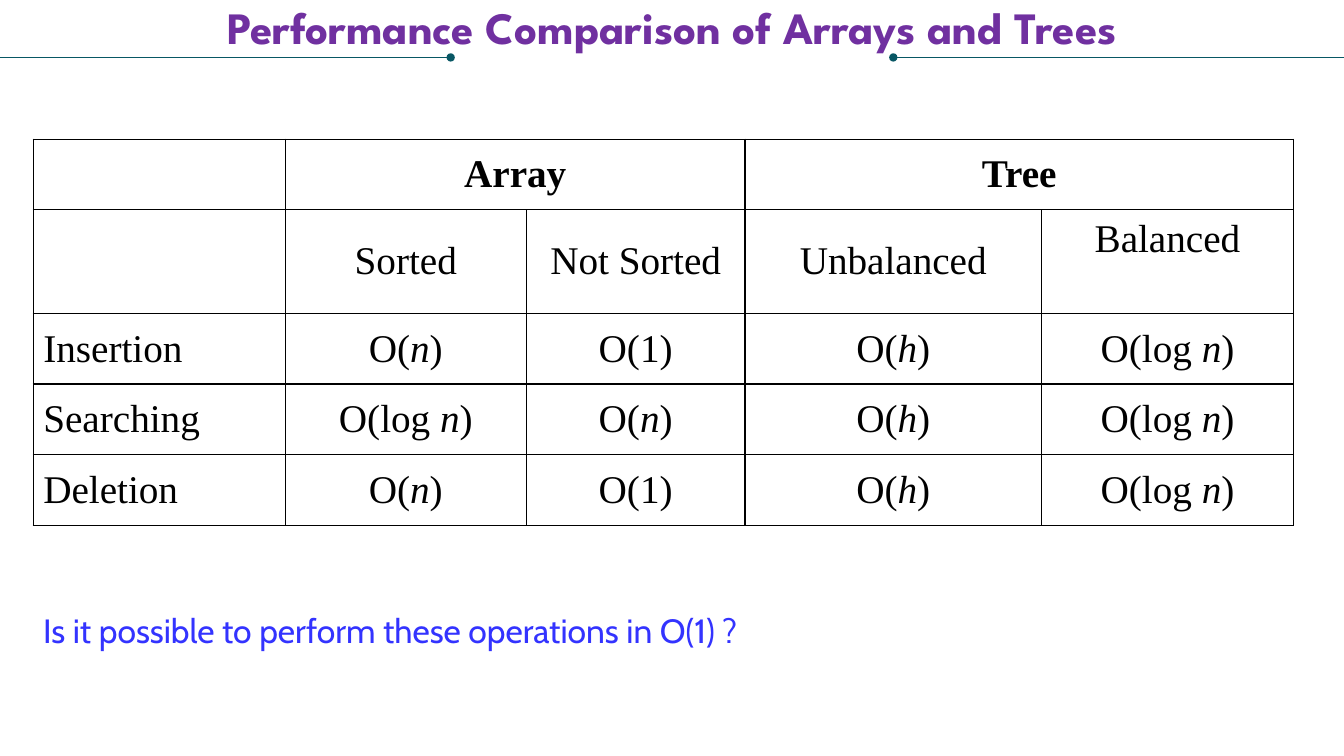
import pptx
import pptx.dml.color
import pptx.enum.shapes
import pptx.enum.text
import pptx.oxml
import pptx.oxml.ns
import pptx.util

Inches = pptx.util.Inches
Pt = pptx.util.Pt
RGB = pptx.dml.color.RGBColor.from_string
ALIGN = pptx.enum.text.PP_ALIGN
MIDDLE = pptx.enum.text.MSO_ANCHOR.MIDDLE
NS = pptx.oxml.ns.nsdecls("a")

THEME = {
    "title": ("League Spartan", 32, "7030A0"),
    "table": ("Times New Roman", 28, "000000"),
    "question": ("Cabin", 24, "3333FF"),
    "rule": "085764",
    "border": "000000",
    "cell": "FFFFFF",
}


def set_font(p, role, bold=False):
    name, size, color = THEME[role]
    p.font.name = name
    p.font.size = Pt(size)
    p.font.bold = bold
    p.font.color.rgb = RGB(color)


def add_borders(cell):
    tcPr = cell._tc.get_or_add_tcPr()
    for side in "LRTB":
        tcPr.append(pptx.oxml.parse_xml(
            f'<a:ln{side} {NS} w="12700"><a:solidFill>'
            f'<a:srgbClr val="{THEME["border"]}"/></a:solidFill></a:ln{side}>'))


prs = pptx.Presentation()
prs.slide_width = Inches(13.33)
prs.slide_height = Inches(7.5)
s = prs.slides.add_slide(prs.slide_layouts[5])

title = s.shapes.title
title.left, title.top = Inches(0.17), Inches(0.03)
title.width, title.height = Inches(13), Inches(0.54)
tf = title.text_frame
tf.text = "Performance Comparison of Arrays and Trees"
tf.vertical_anchor = MIDDLE
tf.auto_size = pptx.enum.text.MSO_AUTO_SIZE.NONE
p = tf.paragraphs[0]
p.alignment = ALIGN.CENTER
p.line_spacing = 0.9
set_font(p, "title", bold=True)

rows = [
    ["", "Array", "", "Tree", ""],
    ["", "Sorted", "Not Sorted", "Unbalanced", "Balanced"],
    ["Insertion", "O(*n*)", "O(1)", "O(*h*)", "O(log *n*)"],
    ["Searching", "O(log *n*)", "O(*n*)", "O(*h*)", "O(log *n*)"],
    ["Deletion", "O(*n*)", "O(1)", "O(*h*)", "O(log *n*)"],
]
widths = [2.5, 2.39, 2.17, 2.94, 2.5]
heights = [0.7, 1.03, 0.7, 0.7, 0.7]
table = s.shapes.add_table(
    len(rows), len(widths), Inches(0.33), Inches(1.38),
    Inches(sum(widths)), Inches(sum(heights))).table
table.first_row = False
table.horz_banding = False
for column, width in zip(table.columns, widths):
    column.width = Inches(width)
for row, height in zip(table.rows, heights):
    row.height = Inches(height)
for first in (1, 3):
    table.cell(0, first).merge(table.cell(0, first + 1))

for i, row in enumerate(rows):
    for j, text in enumerate(row):
        cell = table.cell(i, j)
        add_borders(cell)
        cell.fill.solid()
        cell.fill.fore_color.rgb = RGB(THEME["cell"])
        cell.vertical_anchor = MIDDLE
        if not text:
            continue
        p = cell.text_frame.paragraphs[0]
        p.alignment = ALIGN.CENTER if j else ALIGN.LEFT
        set_font(p, "table", bold=i == 0)
        for k, part in enumerate(text.split("*")):
            r = p.add_run()
            r.text = part
            if k % 2:
                r.font.italic = True
table.cell(1, 4).margin_bottom = Inches(0.49)

question = s.shapes.add_textbox(Inches(0.33), Inches(6), Inches(10.75), Inches(0.5))
tf = question.text_frame
tf.word_wrap = True
tf.auto_size = pptx.enum.text.MSO_AUTO_SIZE.SHAPE_TO_FIT_TEXT
p = tf.paragraphs[0]
p.text = "Is it possible to perform these operations in O(1) ?"
pPr = p._p.get_or_add_pPr()
pPr.set("marL", str(Inches(0.3)))
pPr.set("indent", str(Inches(-0.3)))
set_font(p, "question")

for outer, inner in ((13.33, 8.86), (0, 4.47)):
    rule = s.shapes.add_connector(
        pptx.enum.shapes.MSO_CONNECTOR.STRAIGHT,
        Inches(outer), Inches(0.57), Inches(inner), Inches(0.57))
    rule.line.color.rgb = RGB(THEME["rule"])
    rule.line.width = Pt(0.5)
    rule.line._get_or_add_ln().append(
        pptx.oxml.parse_xml(f'<a:tailEnd {NS} type="oval"/>'))
    rule._element.spPr.append(pptx.oxml.parse_xml(f"<a:effectLst {NS}/>"))

prs.save("out.pptx")
